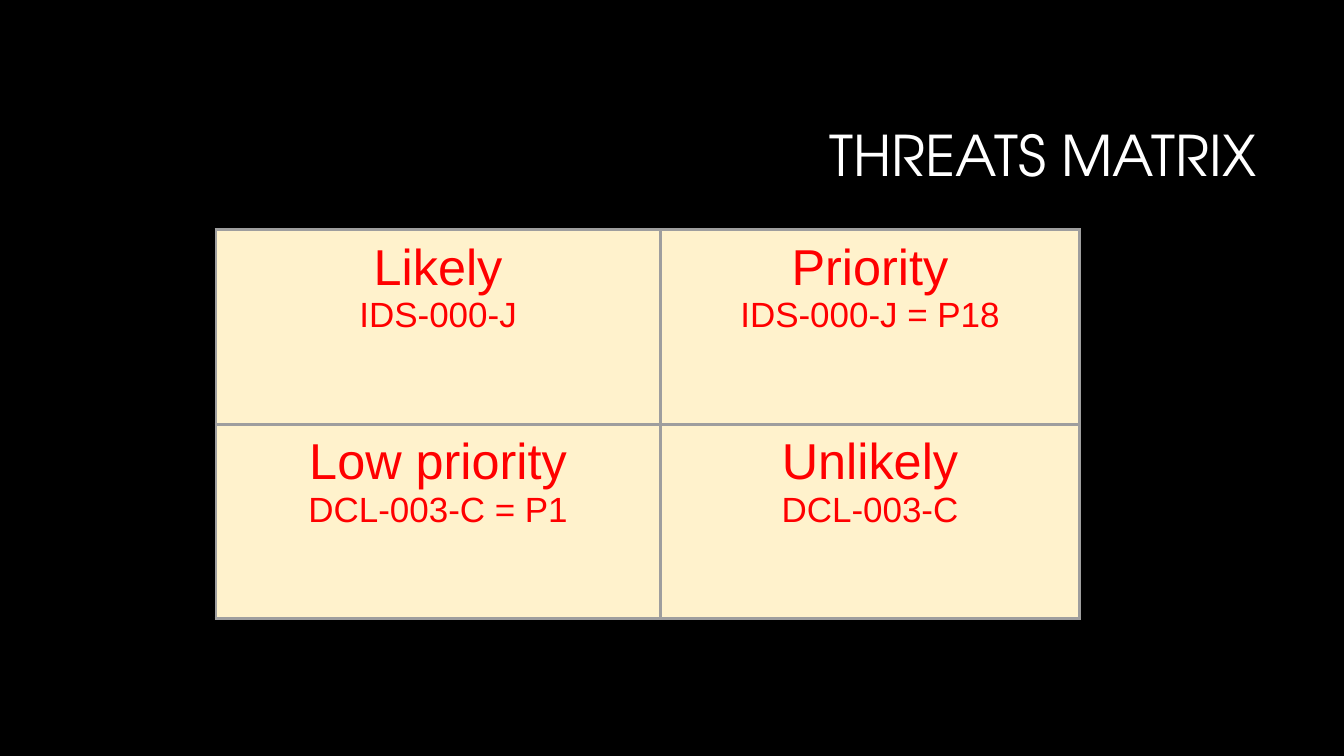
from lxml import etree
from pptx import Presentation
from pptx.dml.color import RGBColor
from pptx.enum import text
from pptx.oxml import ns
from pptx.util import Cm, Pt

# Content
TITLE = "THREATS MATRIX"
MATRIX = [
    [("Likely", "IDS-000-J"), ("Priority", "IDS-000-J = P18")],
    [("Low priority", "DCL-003-C = P1"), ("Unlikely", "DCL-003-C")],
]
COLORS = {
    "background": "000000",
    "title": "FFFFFF",
    "cell": "FFF2CC",
    "threat": "FF0000",
    "border": "9E9E9E",
}

# Layout
TITLE_BOX = [Cm(7.98), Cm(2.21), Cm(23.93), Cm(3.58)]
TABLE_LEFT, TABLE_TOP = Cm(5.44), Cm(5.79)
COLUMN_WIDTHS = [Cm(11.2), Cm(10.57)]
ROW_HEIGHT = Cm(4.9)
CELL_MARGIN = Cm(0.25)
BORDER_WIDTH = Pt(2.25)


def paint(fill, color):
    fill.solid()
    fill.fore_color.rgb = RGBColor.from_string(COLORS[color])


def write(para, words, *, size, color, font="Arial",
          align=text.PP_ALIGN.CENTER, spacing=1.0):
    para.alignment = align
    para.line_spacing = spacing
    span = para.add_run()
    span.text = words
    span.font.size = Pt(size)
    span.font.name = font
    span.font.bold = False
    span.font.color.rgb = RGBColor.from_string(COLORS[color])


def add_borders(cell):
    properties = cell._tc.get_or_add_tcPr()
    for side in ("a:lnL", "a:lnR", "a:lnT", "a:lnB"):
        line = etree.SubElement(properties, ns.qn(side), w=str(BORDER_WIDTH))
        fill = etree.SubElement(line, ns.qn("a:solidFill"))
        etree.SubElement(fill, ns.qn("a:srgbClr"), val=COLORS["border"])


def fill_cell(cell, heading, threat):
    add_borders(cell)
    paint(cell.fill, "cell")
    cell.margin_left = cell.margin_right = CELL_MARGIN
    cell.margin_top = cell.margin_bottom = CELL_MARGIN
    frame = cell.text_frame
    write(frame.paragraphs[0], heading, size=36, color="threat")
    write(frame.add_paragraph(), threat, size=25, color="threat")


def main():
    deck = Presentation()
    deck.slide_width, deck.slide_height = Cm(33.87), Cm(19.05)
    page = deck.slides.add_slide(deck.slide_layouts[5])
    paint(page.background.fill, "background")

    # Title
    title = page.shapes.title
    title.left, title.top, title.width, title.height = TITLE_BOX
    frame = title.text_frame
    frame.vertical_anchor = text.MSO_ANCHOR.MIDDLE
    frame.word_wrap = True
    write(frame.paragraphs[0], TITLE, size=40, color="title",
          font="TeX Gyre Adventor", align=text.PP_ALIGN.RIGHT, spacing=0.9)

    # Threats table
    table = page.shapes.add_table(
        len(MATRIX), len(COLUMN_WIDTHS), TABLE_LEFT, TABLE_TOP,
        sum(COLUMN_WIDTHS), ROW_HEIGHT * len(MATRIX)).table
    table.first_row = table.horz_banding = False
    for column, width in zip(table.columns, COLUMN_WIDTHS):
        column.width = width
    for row, entries in zip(table.rows, MATRIX):
        row.height = ROW_HEIGHT
        for cell, (heading, threat) in zip(row.cells, entries):
            fill_cell(cell, heading, threat)

    deck.save("out.pptx")


if __name__ == "__main__":
    main()
